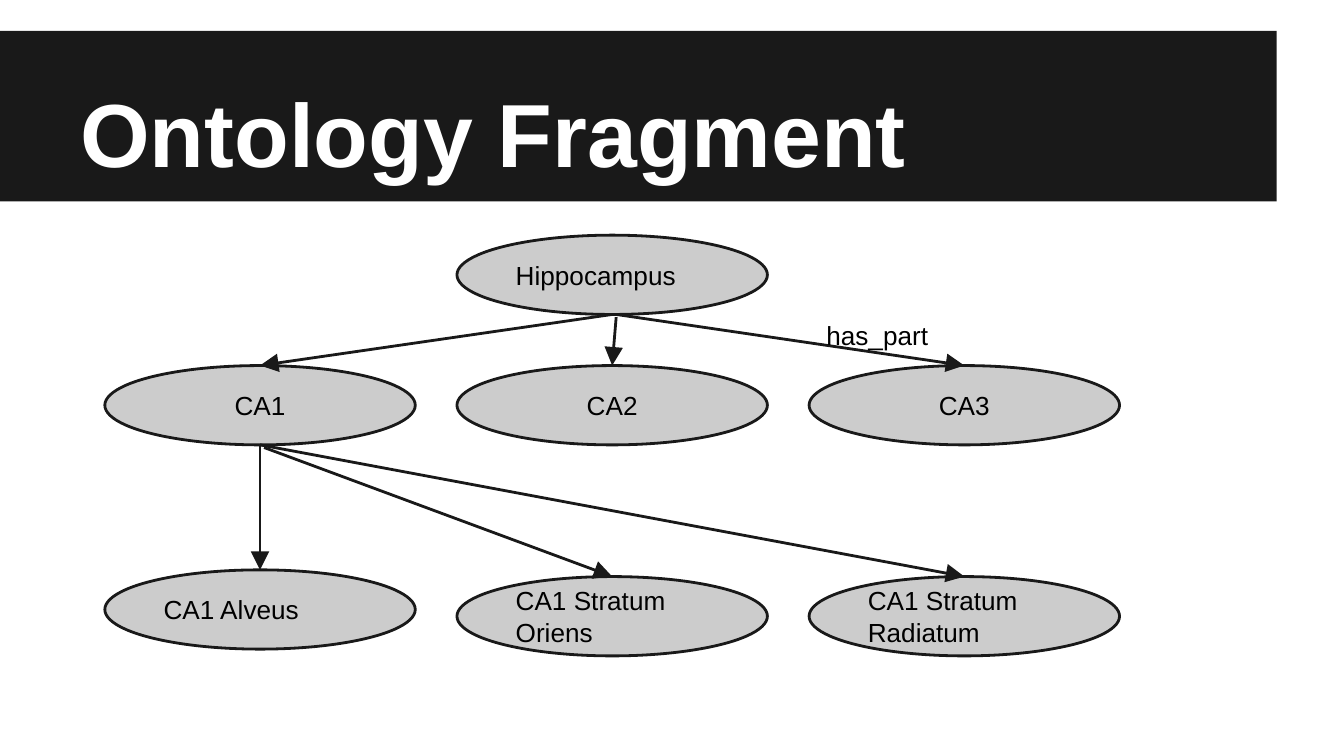
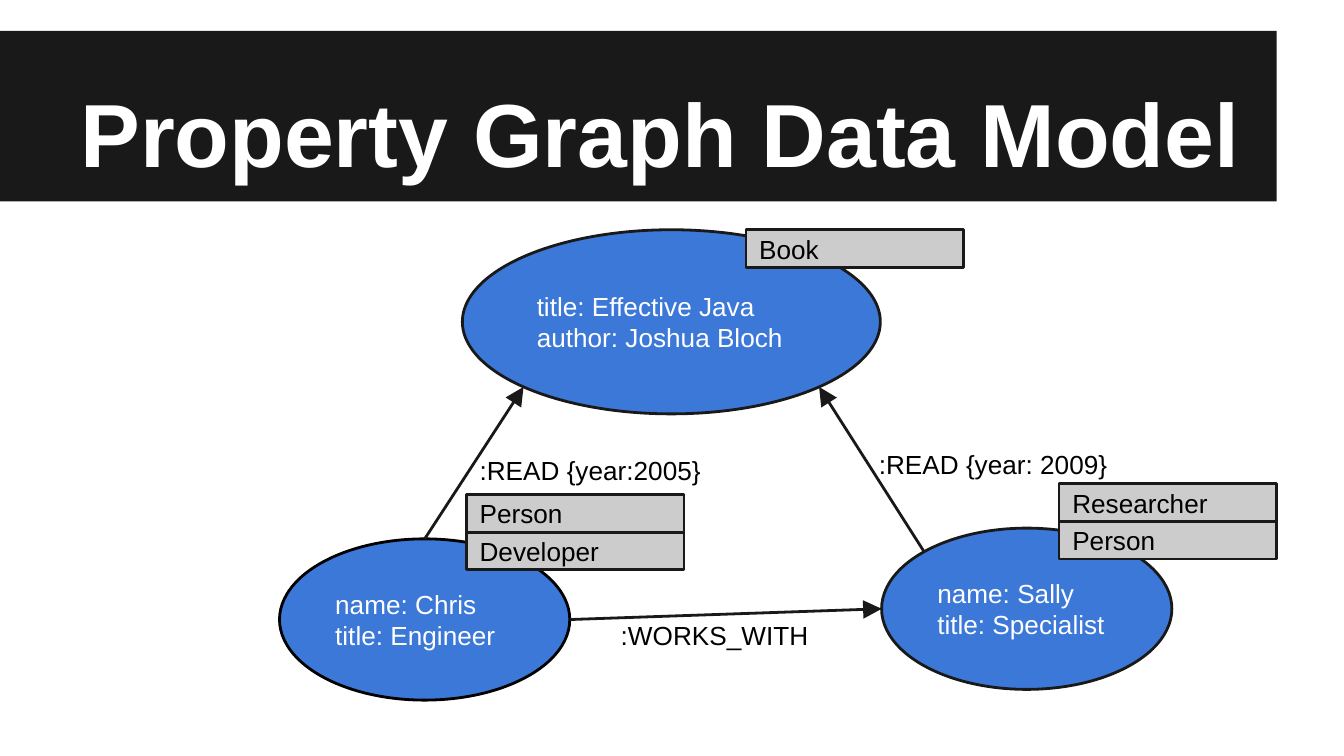
from math import cos, radians, sin

from lxml import etree
from pptx import Presentation
from pptx.dml.color import RGBColor
from pptx.enum.shapes import MSO_CONNECTOR, MSO_SHAPE
from pptx.enum.text import MSO_ANCHOR, PP_ALIGN
from pptx.oxml.ns import qn
from pptx.util import Inches, Pt

DARK = RGBColor(0x19, 0x19, 0x19)
GRAY = RGBColor(0xCC, 0xCC, 0xCC)
BLUE = RGBColor(0x3C, 0x78, 0xD8)
BLACK = RGBColor(0, 0, 0)
WHITE = RGBColor(0xFF, 0xFF, 0xFF)

FONT = "Arial"
TOP, MIDDLE, BOTTOM = MSO_ANCHOR.TOP, MSO_ANCHOR.MIDDLE, MSO_ANCHOR.BOTTOM
LEFT, CENTER = PP_ALIGN.LEFT, PP_ALIGN.CENTER
OVAL, RECTANGLE = MSO_SHAPE.OVAL, MSO_SHAPE.RECTANGLE
STRAIGHT = MSO_CONNECTOR.STRAIGHT

# Ontology: name -> (column, top, alignment)
CONCEPTS = {
    "Hippocampus": (1, 1.75, LEFT),
    "CA1": (0, 2.72, CENTER),
    "CA2": (1, 2.72, CENTER),
    "CA3": (2, 2.72, CENTER),
    "CA1 Alveus": (0, 4.24, LEFT),
    "CA1 Stratum Oriens": (1, 4.29, LEFT),
    "CA1 Stratum Radiatum": (2, 4.29, LEFT),
}
CONCEPT_LEFT, CONCEPT_STEP = 0.78, 2.62
CONCEPT_WIDTH, CONCEPT_HEIGHT = 2.31, 0.59

# Parent, child, offset of the arrow's start from the parent's lowest point
PARTS = [
    ("Hippocampus", "CA1", (0, 0)),
    ("Hippocampus", "CA3", (0.03, 0)),
    ("Hippocampus", "CA2", (0.03, 0.02)),
    ("CA1", "CA1 Alveus", (0, 0)),
    ("CA1", "CA1 Stratum Oriens", (0.03, 0.02)),
    ("CA1", "CA1 Stratum Radiatum", (0, 0)),
]
PART_LABELS = [("has_part", (6.05, 2.3, 2.24, 0.18))]

# Property graph: name -> (box, properties, outline)
ENTITIES = {
    "Chris": ((2.08, 4.01, 2.16, 1.2), ["name: Chris", "title: Engineer"], BLACK),
    "Book": ((3.44, 1.71, 3.11, 1.37),
             ["title: Effective Java", "author: Joshua Bloch"], DARK),
    "Sally": ((6.56, 3.93, 2.16, 1.2), ["name: Sally", "title: Specialist"], DARK),
}
# Left and top of each stack of tags, then the tags from top to bottom
TAG_STACKS = [
    (3.47, 3.68, ["Person", "Developer"]),
    (7.88, 3.6, ["Researcher", "Person"]),
    (5.55, 1.71, ["Book"]),
]
TAG_WIDTH, TAG_HEIGHT = 1.62, 0.28

# Start, angle on its ellipse, end, angle on its ellipse (clockwise from right)
RELATIONS = [
    ("Chris", 270, "Book", 135),
    ("Sally", 225, "Book", 45),
    ("Chris", 0, "Sally", 180),
]
RELATION_LABELS = [
    (":READ {year: 2009}", (6.44, 3.24, 2.01, 0.2)),
    (":READ {year:2005}", (3.47, 3.28, 2.16, 0.2)),
    (":WORKS_WITH", (4.52, 4.51, 1.76, 0.2)),
]


def write(shape, lines, color, size=14, bold=False, anchor=MIDDLE, alignment=LEFT):
    frame = shape.text_frame
    frame.word_wrap = True
    frame.vertical_anchor = anchor
    frame.margin_left = frame.margin_right = Inches(0.1)
    frame.margin_top = frame.margin_bottom = Inches(0.1)
    frame.text = "\n".join(lines)
    for paragraph in frame.paragraphs:
        paragraph.alignment = alignment
        paragraph.font.name = FONT
        paragraph.font.size = Pt(size)
        paragraph.font.bold = bold
        paragraph.font.color.rgb = color


def add_shape(slide, kind, box, fill, outline=None):
    shape = slide.shapes.add_shape(kind, *map(Inches, box))
    shape.shadow.inherit = False
    shape.fill.solid()
    shape.fill.fore_color.rgb = fill
    if outline is None:
        shape.line.fill.background()
    else:
        shape.line.color.rgb = outline
        shape.line.width = Pt(1.5)
    return shape


def add_text(slide, text, box, color=BLACK, **style):
    write(slide.shapes.add_textbox(*map(Inches, box)), [text], color, **style)


def add_arrow(slide, start, end):
    arrow = slide.shapes.add_connector(STRAIGHT, *map(Inches, (*start, *end)))
    arrow.line.color.rgb = DARK
    arrow.line.width = Pt(1.5)
    properties = arrow.element.spPr
    etree.SubElement(properties.find(qn("a:ln")), qn("a:tailEnd"),
                     type="triangle", w="lg", len="lg")
    etree.SubElement(properties, qn("a:effectLst"))


def ellipse_point(box, angle):
    left, top, width, height = box
    turn = radians(angle)
    return (left + width / 2 * (1 + cos(turn)),
            top + height / 2 * (1 + sin(turn)))


def add_titled_slide(presentation, title):
    slide = presentation.slides.add_slide(presentation.slide_layouts[6])
    add_shape(slide, RECTANGLE, (0, 0.23, 9.5, 1.27), DARK)
    add_text(slide, title, (0.5, 0.23, 9, 1.25), WHITE,
             size=48, bold=True, anchor=BOTTOM)
    return slide


def add_labels(slide, labels):
    for text, box in labels:
        add_text(slide, text, box, anchor=TOP)


def build_ontology(presentation):
    slide = add_titled_slide(presentation, "Ontology Fragment")

    # Concepts on a three-column grid
    boxes = {}
    for name, (column, top, alignment) in CONCEPTS.items():
        left = CONCEPT_LEFT + column * CONCEPT_STEP
        boxes[name] = (left, top, CONCEPT_WIDTH, CONCEPT_HEIGHT)
        oval = add_shape(slide, OVAL, boxes[name], GRAY, DARK)
        write(oval, [name], BLACK, alignment=alignment)

    # Arrows from parent to child
    for parent, child, (shift_x, shift_y) in PARTS:
        x, y = ellipse_point(boxes[parent], 90)
        add_arrow(slide, (x + shift_x, y + shift_y), ellipse_point(boxes[child], 270))
    add_labels(slide, PART_LABELS)


def build_property_graph(presentation):
    slide = add_titled_slide(presentation, "Property Graph Data Model")

    # Entities with their properties
    for box, properties, outline in ENTITIES.values():
        write(add_shape(slide, OVAL, box, BLUE, outline), properties, WHITE)

    # Stacked tags
    for left, top, tags in TAG_STACKS:
        for row, tag in enumerate(tags):
            box = (left, top + row * TAG_HEIGHT, TAG_WIDTH, TAG_HEIGHT)
            write(add_shape(slide, RECTANGLE, box, GRAY, DARK), [tag], BLACK)

    # Relations between entities
    for start, start_angle, end, end_angle in RELATIONS:
        add_arrow(slide, ellipse_point(ENTITIES[start][0], start_angle),
                  ellipse_point(ENTITIES[end][0], end_angle))
    add_labels(slide, RELATION_LABELS)


def main():
    presentation = Presentation()
    # Widescreen, 16:9
    presentation.slide_width = Inches(10)
    presentation.slide_height = presentation.slide_width * 9 // 16
    build_ontology(presentation)
    build_property_graph(presentation)
    presentation.save("out.pptx")


if __name__ == "__main__":
    main()
